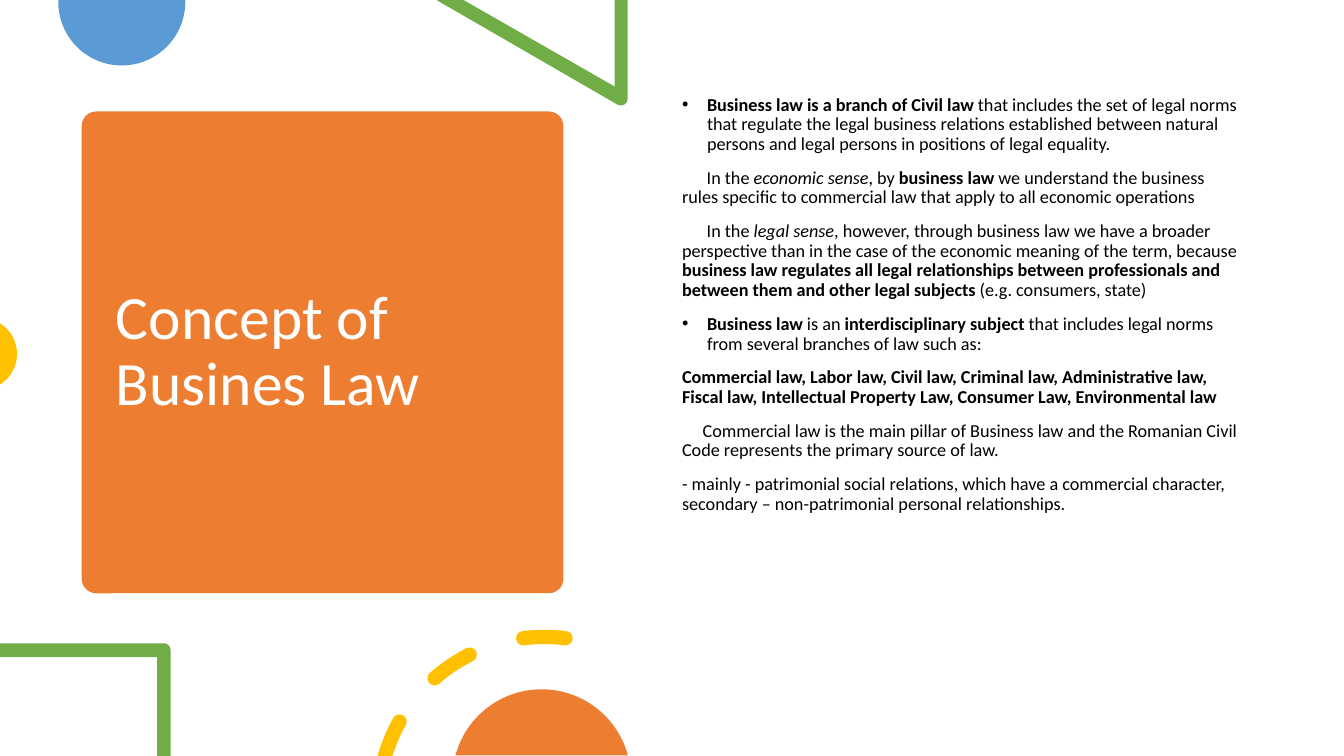
import math
from dataclasses import dataclass

from lxml import etree
from pptx import Presentation
from pptx import util as u
from pptx.dml.color import RGBColor
from pptx.enum import shapes, text
from pptx.oxml import ns

ORANGE = RGBColor(0xED, 0x7D, 0x31)
BLUE = RGBColor(0x5B, 0x9B, 0xD5)
GREEN = RGBColor(0x70, 0xAD, 0x47)
YELLOW = RGBColor(0xFF, 0xC0, 0x00)
WHITE = RGBColor(0xFF, 0xFF, 0xFF)
BLACK = RGBColor(0x00, 0x00, 0x00)
FONT = "Calibri"
HANGING = 0.63

Point = tuple[float, float]
Step = list[Point]
Outline = list[Step]


@dataclass
class Decoration:
    color: RGBColor
    outlines: list[Outline]


@dataclass
class Segment:
    wording: str
    bold: bool = False
    italic: bool = False


@dataclass
class BodyParagraph:
    segments: list[Segment]
    bullet: bool = False
    first_line: float = 0


def corners(*points: Point) -> Outline:
    return [[point] for point in points]


def arc(center: Point, radius: float, start: float, end: float) -> Outline:
    half = math.radians(end - start) / 2
    reach = 4 / 3 * math.tan(half / 4)

    def point(angle: float, lead: float) -> Point:
        x = math.cos(angle) - lead * math.sin(angle)
        y = math.sin(angle) + lead * math.cos(angle)
        return center[0] + radius * x, center[1] - radius * y

    first = math.radians(start)
    steps = [[point(first, 0)]]
    for a in (first, first + half):
        steps.append([point(a, reach), point(a + half, -reach), point(a + half, 0)])
    return steps


def ring_dash(start: float, end: float, cut: float | None = None) -> Outline:
    center, radius, half_width = (13.72, 20.24), 4.19, 0.18

    def cap(angle: float, turn: float) -> Outline:
        middle = arc(center, radius, angle, angle)[0][0]
        return arc(middle, half_width, turn, turn - 180)[1:]

    outline = arc(center, radius + half_width, start, end) + cap(end, end)
    if cut is not None:
        return outline + arc(center, radius - half_width, end, cut)[1:]
    return outline + arc(center, radius - half_width, end, start)[1:] + cap(start, start + 180)


def add_decoration(slide, decoration: Decoration) -> None:
    builder = None
    for outline in decoration.outlines:
        points = [(u.Cm(step[-1][0]), u.Cm(step[-1][1])) for step in outline]
        if builder is None:
            builder = slide.shapes.build_freeform(*points[0])
        else:
            builder.move_to(*points[0])
        builder.add_line_segments(points[1:], close=True)
    shape = builder.convert_to_shape()
    paint(shape, decoration.color)
    bend(shape, [step for outline in decoration.outlines for step in outline])


def bend(shape, steps: list[Step]) -> None:
    custom = shape._element.spPr.find(ns.qn("a:custGeom"))
    elements = list(custom.iter(ns.qn("a:moveTo"), ns.qn("a:lnTo")))
    for element, step in zip(elements, steps):
        if len(step) == 1:
            continue
        curve = etree.Element(ns.qn("a:cubicBezTo"))
        for x, y in step:
            etree.SubElement(curve, ns.qn("a:pt"),
                             x=str(u.Cm(x) - shape.left), y=str(u.Cm(y) - shape.top))
        element.getparent().replace(element, curve)


def paint(shape, color: RGBColor) -> None:
    shape.shadow.inherit = False
    shape.fill.solid()
    shape.fill.fore_color.rgb = color
    shape.line.fill.background()


def add_text_frame(slide, left: float, top: float, width: float, height: float):
    box = slide.shapes.add_textbox(u.Cm(left), u.Cm(top), u.Cm(width), u.Cm(height))
    box.text_frame.word_wrap = True
    return box.text_frame


def set_font(paragraph, size: float, color: RGBColor) -> None:
    paragraph.line_spacing = 0.9
    paragraph.font.name = FONT
    paragraph.font.size = u.Pt(size)
    paragraph.font.color.rgb = color


def set_indent(paragraph, content: BodyParagraph) -> None:
    properties = paragraph._p.get_or_add_pPr()
    margin, indent = (HANGING, -HANGING) if content.bullet else (0, content.first_line)
    properties.set("marL", str(u.Cm(margin)))
    properties.set("indent", str(u.Cm(indent)))
    if content.bullet:
        etree.SubElement(properties, ns.qn("a:buFont"), typeface="Arial")
        etree.SubElement(properties, ns.qn("a:buChar"), char="•")


def add_body(slide, contents: list[BodyParagraph]) -> None:
    frame = add_text_frame(slide, 16.94, 2.28, 14.61, 13.59)
    for index, content in enumerate(contents):
        paragraph = frame.add_paragraph() if index else frame.paragraphs[0]
        set_indent(paragraph, content)
        paragraph.space_before = u.Pt(10)
        set_font(paragraph, 13, BLACK)
        for segment in content.segments:
            run = paragraph.add_run()
            run.text = segment.wording
            if segment.bold:
                run.font.bold = True
            if segment.italic:
                run.font.italic = True


def add_title(slide) -> None:
    card = slide.shapes.add_shape(
        shapes.MSO_SHAPE.ROUNDED_RECTANGLE, u.Cm(2.06), u.Cm(2.81), u.Cm(12.14), u.Cm(12.14))
    card.adjustments[0] = 0.03
    paint(card, ORANGE)
    frame = add_text_frame(slide, 2.67, 3.1, 10.95, 11.58)
    frame.vertical_anchor = text.MSO_ANCHOR.MIDDLE
    paragraph = frame.paragraphs[0]
    paragraph.text = "Concept of Busines Law"
    set_font(paragraph, 44, WHITE)


UPPER_DECORATIONS = [
    Decoration(BLUE, [corners((4.67, 0), (1.47, 0)) + arc((3.07, 0.05), 1.6, 180, 360)]),
    Decoration(GREEN, [corners((15.82, 0), (15.49, 0), (15.49, 2.18), (11.68, 0), (11, 0))
                       + arc((15.65, 2.49), 0.17, -117, 0)]),
    Decoration(YELLOW, [arc((-0.48, 8.92), 0.91, 58, -58)]),
]
LOWER_DECORATIONS = [
    Decoration(GREEN, [corners((0, 16.21)) + arc((4.13, 16.38), 0.17, 90, 0)
                       + corners((4.3, 19.05), (3.96, 19.05), (3.96, 16.56), (0, 16.56))]),
    Decoration(YELLOW, [ring_dash(164.2, 150.6, cut=162.7), ring_dash(131.3, 116.7),
                        ring_dash(97.3, 82.7)]),
    Decoration(ORANGE, [arc((13.65, 19.62), 2.25, 165, 15)]),
]

BODY = [
    BodyParagraph([
        Segment("Business law is a branch of Civil law", bold=True),
        Segment(" that includes the set of legal norms that regulate the legal business relations "
                "established between natural persons and legal persons in positions of legal equality."),
    ], bullet=True),
    BodyParagraph([
        Segment("In the "), Segment("economic sense", italic=True), Segment(", by "),
        Segment("business law ", bold=True),
        Segment("we understand the business rules specific to commercial law "
                "that apply to all economic operations"),
    ], first_line=0.62),
    BodyParagraph([
        Segment("In the "), Segment("legal sense", italic=True),
        Segment(", however, through business law we have a broader perspective than in the case "
                "of the economic meaning of the term, because "),
        Segment("business law regulates all legal relationships between professionals "
                "and between them and other legal subjects ", bold=True),
        Segment("(e.g. consumers, state)"),
    ], first_line=0.62),
    BodyParagraph([
        Segment("Business law ", bold=True), Segment("is an "),
        Segment("interdisciplinary subject ", bold=True),
        Segment("that includes legal norms from several branches of law such as:"),
    ], bullet=True),
    BodyParagraph([
        Segment("Commercial law, Labor law, Civil law, Criminal law, Administrative law, Fiscal law, "
                "Intellectual Property Law, Consumer Law, Environmental law", bold=True)]),
    BodyParagraph([
        Segment("Commercial law is the main pillar of Business law and the Romanian Civil Code "
                "represents the primary source of law.")], first_line=0.52),
    BodyParagraph([
        Segment("- mainly - patrimonial social relations, which have a commercial character, "
                "secondary – non-patrimonial personal relationships.")]),
]


def main() -> None:
    presentation = Presentation()
    presentation.slide_width, presentation.slide_height = u.Cm(33.87), u.Cm(19.05)
    slide = presentation.slides.add_slide(presentation.slide_layouts[6])
    add_title(slide)
    for decoration in UPPER_DECORATIONS:
        add_decoration(slide, decoration)
    add_body(slide, BODY)
    for decoration in LOWER_DECORATIONS:
        add_decoration(slide, decoration)
    presentation.save("out.pptx")


if __name__ == "__main__":
    main()
